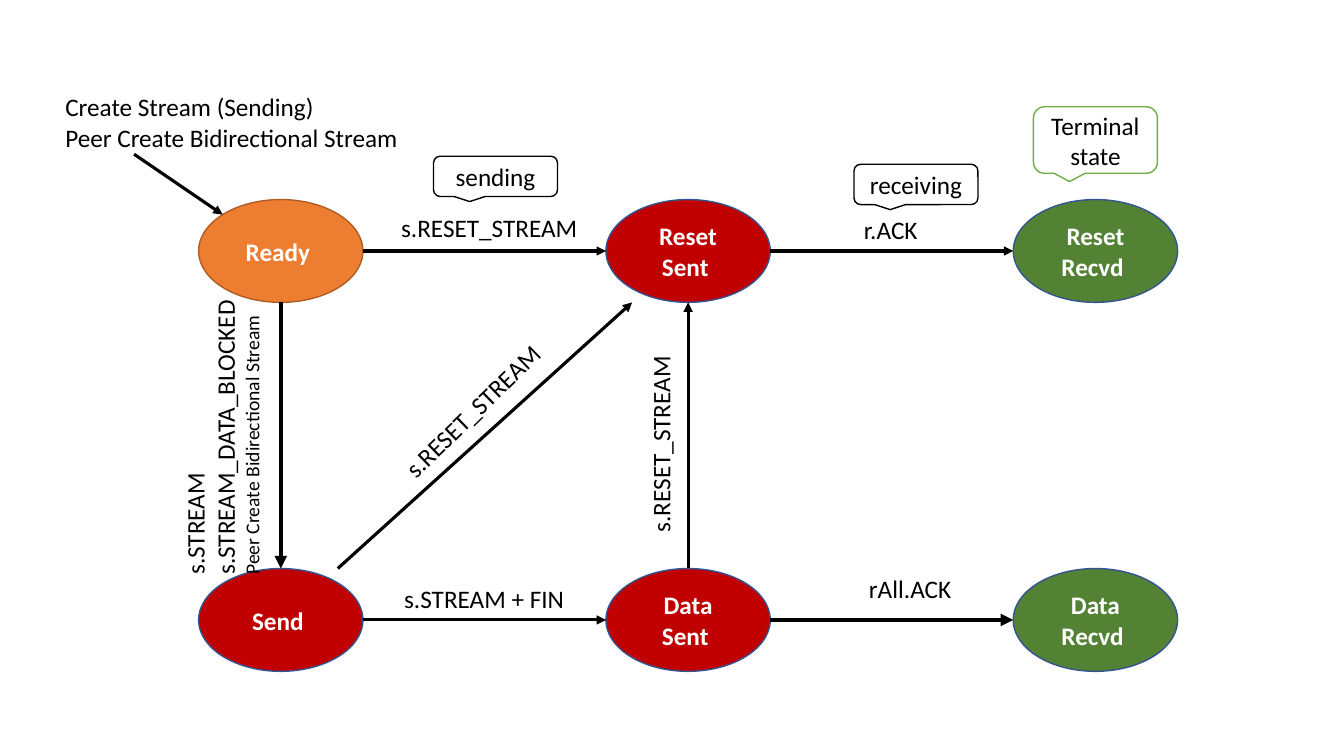
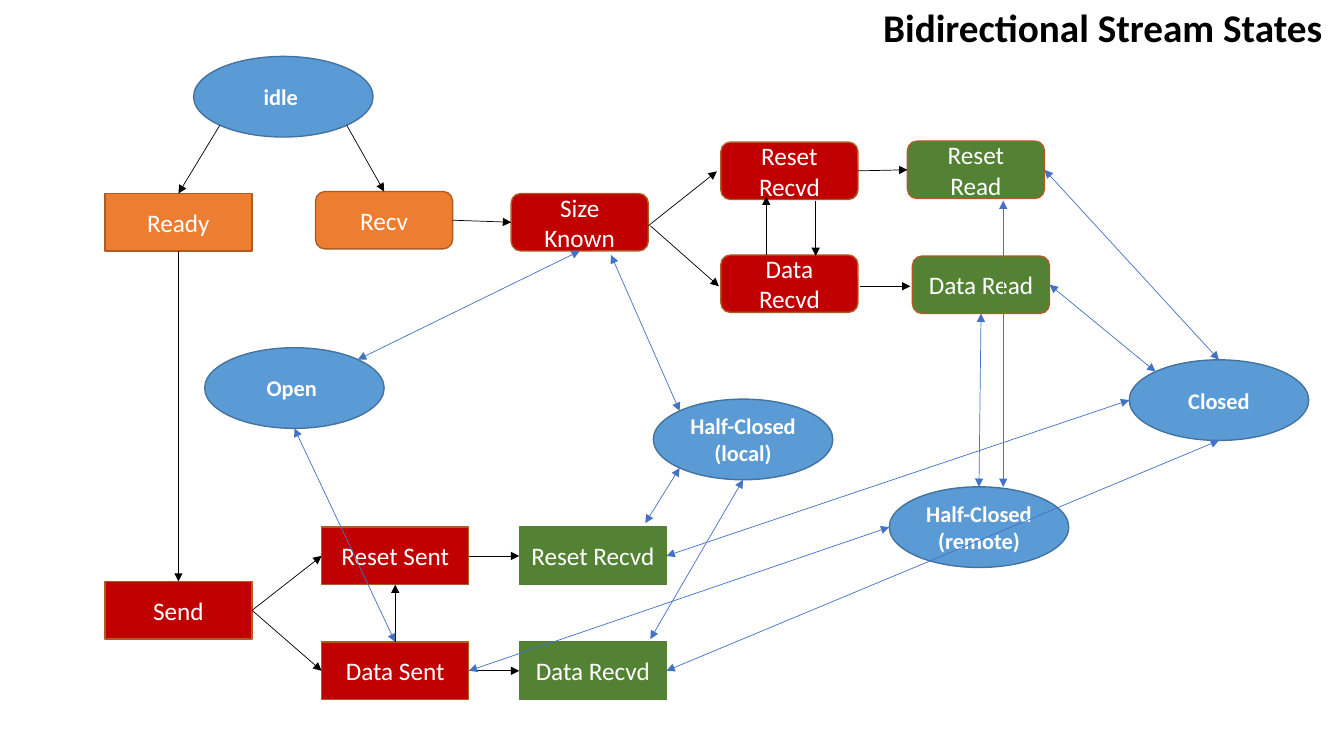
import math

import pptx
import pptx.util
import pptx.dml.color
import pptx.enum.shapes
import pptx.enum.text
from pptx.oxml.ns import qn
from lxml import etree

SHAPE = pptx.enum.shapes.MSO_SHAPE
ALIGN = pptx.enum.text.PP_ALIGN
ANCHOR = pptx.enum.text.MSO_ANCHOR
Inches = pptx.util.Inches


class Theme:
    font = "Calibri"
    black, white = "000000", "FFFFFF"
    orange, red, green, blue = "ED7D31", "C00000", "548235", "5B9BD5"
    orange_edge, green_edge, blue_edge = "AF5C24", "538035", "43739E"
    navy_edge, light_green, link = "325491", "70AD47", "4472C4"
    title, body, state, small = 28, 18, 16, 14
    edge, thin, medium, thick = 1, 0.5, 2.25, 3


T = Theme

# Slide 1: states on a grid of 3 columns and 2 rows
GRID_LEFT, GRID_TOP, COL_STEP, ROW_STEP = 1.97, 1.98, 4.04, 3.66
OVAL = (1.63, 1.02)
SEND_STATES = {  # key: text, column, row, fill, edge
    "ready": ("Ready ", 0, 0, T.orange, T.orange_edge),
    "send": ("Send ", 0, 1, T.red, T.navy_edge),
    "data sent": ("Data Sent ", 1, 1, T.red, T.navy_edge),
    "reset sent": ("Reset Sent ", 1, 0, T.red, T.navy_edge),
    "reset recvd": ("Reset Recvd ", 2, 0, T.green, T.navy_edge),
    "data recvd": ("Data Recvd ", 2, 1, T.green, T.navy_edge),
}
# An arrow end is either (state, side) or a point (x, y)
SEND_ARROWS = [
    (("ready", "R"), ("reset sent", "L"), T.medium),
    ((3.35, 5.64), (6.27, 3), T.medium),
    (("ready", "B"), ("send", "T"), T.thick),
    (("send", "R"), ("data sent", "L"), T.medium),
    (("data sent", "R"), ("data recvd", "L"), T.thick),
    (("reset sent", "R"), ("reset recvd", "L"), T.medium),
    (("data sent", "T"), ("reset sent", "B"), T.medium),
    ((1.33, 1.53), ("ready", "TL"), T.medium),
]
PEER = "Peer Create Bidirectional Stream"
LABELS = [  # text, box, rotation
    ("s.RESET_STREAM", (3.88, 2.06, 1.96, 0.4), 0),
    ("s.RESET_STREAM", (3.71, 3.87, 1.96, 0.4), 315.8),
    ("s.RESET_STREAM", (5.57, 4.2, 1.96, 0.4), 270),
    ("r.ACK", (8.47, 2.08, 0.74, 0.4), 0),
    ("rAll.ACK", (8.52, 5.64, 1.03, 0.4), 0),
    ("s.STREAM + FIN", (3.91, 5.74, 1.8, 0.4), 0),
    ("s.STREAM\ns.STREAM_DATA_BLOCKED\n" + PEER, (0.88, 3.7, 2.95, 1.25), 270),
    ("Create Stream (Sending)\n" + PEER, (0.55, 0.86, 3.54, 0.71), 0),
]
CALLOUTS = [  # text, box, edge
    ("sending", (4.3, 1.55, 1.23, 0.4), T.black),
    ("receiving", (8.47, 1.63, 1.23, 0.4), T.black),
    ("Terminal state", (10.25, 1.06, 1.23, 0.66), T.light_green),
]

# Slide 2: stream states (ovals), sending states (boxes), receiving states (rounded)
TITLE = "Bidirectional Stream States"
TITLE_BOX = (8.66, -0.02, 4.67, 0.57)
KINDS = {  # kind: preset, size, type size, bold
    "stream": (SHAPE.OVAL, (1.78, 0.8), T.state, True),
    "sending": (SHAPE.RECTANGLE, (1.46, 0.57), T.body, False),
    "receiving": (SHAPE.ROUNDED_RECTANGLE, (1.36, 0.57), T.body, False),
}
STATES = {  # key: kind, text, left, top, fill, edge
    "idle": ("stream", "idle ", 1.92, 0.56, T.blue, T.blue_edge),
    "open": ("stream", "Open ", 2.03, 3.45, T.blue, T.blue_edge),
    "remote": ("stream", "Half-Closed\n(remote)", 8.82, 4.83, T.blue, T.blue_edge),
    "local": ("stream", "Half-Closed\n(local)", 6.48, 3.96, T.blue, T.blue_edge),
    "closed": ("stream", "Closed", 11.2, 3.57, T.blue, T.blue_edge),
    "ready": ("sending", "Ready", 1.04, 1.92, T.orange, T.orange_edge),
    "send": ("sending", "Send", 1.04, 5.77, T.red, T.orange_edge),
    "reset sent": ("sending", "Reset Sent", 3.19, 5.23, T.red, T.orange_edge),
    "data sent": ("sending", "Data Sent", 3.19, 6.37, T.red, T.orange_edge),
    "s reset recvd": ("sending", "Reset Recvd", 5.15, 5.23, T.green, T.green_edge),
    "s data recvd": ("sending", "Data Recvd", 5.15, 6.37, T.green, T.green_edge),
    "recv": ("receiving", "Recv", 3.13, 1.9, T.orange, T.orange_edge),
    "size known": ("receiving", "Size Known", 5.07, 1.92, T.red, T.orange_edge),
    "r reset recvd": ("receiving", "Reset Recvd", 7.15, 1.41, T.red, T.orange_edge),
    "r data recvd": ("receiving", "Data Recvd", 7.15, 2.53, T.red, T.orange_edge),
    "reset read": ("receiving", "Reset Read", 9, 1.4, T.green, T.orange_edge),
    "data read": ("receiving", "Data Read", 9.05, 2.54, T.green, T.orange_edge),
}
TRANSITIONS = [
    (("send", "R"), ("reset sent", "L")),
    (("send", "R"), ("data sent", "L")),
    (("data sent", "T"), ("reset sent", "B")),
    (("reset sent", "R"), ("s reset recvd", "L")),
    (("data sent", "R"), ("s data recvd", "L")),
    ((6.43, 2.24), (7.11, 1.7)),
    ((6.45, 2.24), (7.13, 2.84)),
    ((7.6, 2.53), (7.6, 1.95)),
    ((8.09, 1.99), (8.09, 2.54)),
    (("r reset recvd", "R"), ("reset read", "L")),
    ((8.53, 2.84), (9.03, 2.84)),
    (("idle", "BR"), ("recv", "T")),
    (("idle", "BL"), ("ready", "T")),
    (("ready", "B"), ("send", "T")),
    (("recv", "R"), ("size known", "L")),
]
MAPPINGS = [  # two-headed links between stream states and the others
    (("open", "TR"), ("size known", "B")),
    (("data sent", "T"), ("open", "B")),
    (("data sent", "R"), ("remote", "L")),
    (("data read", "B"), ("remote", "T")),
    ((9.95, 1.99), (9.95, 4.83)),
    (("local", "TL"), (6.06, 2.53)),
    ((6.45, 6.34), ("local", "B")),
    ((6.4, 5.19), ("local", "BL")),
    (("closed", "L"), ("s reset recvd", "R")),
    (("closed", "TL"), ("data read", "R")),
    (("closed", "T"), ("reset read", "R")),
    (("closed", "B"), ("s data recvd", "R")),
]
SITES = "TLBR"  # connection sites 0 to 3 of a rectangle


def rgb(value):
    return pptx.dml.color.RGBColor.from_string(value)


def write(shape, text, size, color, bold=False, align=ALIGN.LEFT, anchor=ANCHOR.TOP,
          wrap=True):
    tf = shape.text_frame
    tf.text = text
    tf.word_wrap = wrap
    tf.auto_size = pptx.enum.text.MSO_AUTO_SIZE.NONE
    tf.vertical_anchor = anchor
    for p in tf.paragraphs:
        p.alignment = align
        for r in p.runs:
            r.font.name, r.font.size, r.font.bold = T.font, pptx.util.Pt(size), bold
            r.font.color.rgb = rgb(color)


def add_box(s, preset, box, text, fill, edge, size=T.body, color=T.white, bold=False):
    sp = s.shapes.add_shape(preset, *map(Inches, box))
    sp.shadow.inherit = False
    sp.fill.solid()
    sp.fill.fore_color.rgb = rgb(fill)
    sp.line.color.rgb = rgb(edge)
    sp.line.width = pptx.util.Pt(T.edge)
    write(sp, text, size, color, bold, ALIGN.CENTER, ANCHOR.MIDDLE)
    return sp


def locate(end, nodes):
    """Return the point of an arrow end, in EMU."""
    if end[0] not in nodes:
        return tuple(map(Inches, end))
    sp, side = nodes[end[0]], end[1]
    reach = 0.5 * (math.sqrt(0.5) if len(side) == 2 else 1)  # corners lie on the oval
    dx = ("R" in side) - ("L" in side)
    dy = ("B" in side) - ("T" in side)
    return (int(sp.left + sp.width * (0.5 + dx * reach)),
            int(sp.top + sp.height * (0.5 + dy * reach)))


def add_arrow(s, nodes, start, end, color, width, both=False):
    line = s.shapes.add_connector(pptx.enum.shapes.MSO_CONNECTOR.STRAIGHT,
                                  *locate(start, nodes), *locate(end, nodes))
    for spot, connect in ((start, line.begin_connect), (end, line.end_connect)):
        sp = nodes.get(spot[0])
        if sp is not None and sp.auto_shape_type != SHAPE.OVAL:
            connect(sp, SITES.index(spot[1]))
    line.line.color.rgb = rgb(color)
    line.line.width = pptx.util.Pt(width)
    ln = line.line._get_or_add_ln()
    for tag in (["a:headEnd"] if both else []) + ["a:tailEnd"]:
        etree.SubElement(ln, qn(tag)).set("type", "triangle")
    etree.SubElement(line._element.spPr, qn("a:effectLst"))


def build_sending(prs):
    s = prs.slides.add_slide(prs.slide_layouts[6])
    nodes = {}
    for key, (text, col, row, fill, edge) in SEND_STATES.items():
        box = (GRID_LEFT + col * COL_STEP, GRID_TOP + row * ROW_STEP, *OVAL)
        nodes[key] = add_box(s, SHAPE.OVAL, box, text, fill, edge, bold=True)
    for start, end, width in SEND_ARROWS:
        add_arrow(s, nodes, start, end, T.black, width)
    for text, box, rotation in LABELS:
        tb = s.shapes.add_textbox(*map(Inches, box))
        tb.rotation = rotation
        write(tb, text, T.body, T.black, wrap=False)
        for p in tb.text_frame.paragraphs[2:]:  # side remark under the two frames
            p.runs[0].font.size = pptx.util.Pt(T.small)
    for text, box, edge in CALLOUTS:
        add_box(s, SHAPE.ROUNDED_RECTANGULAR_CALLOUT, box, text, T.white, edge,
                color=T.black)


def build_bidirectional(prs):
    s = prs.slides.add_slide(prs.slide_layouts[5])
    title = s.shapes.title
    title.left, title.top, title.width, title.height = map(Inches, TITLE_BOX)
    write(title, TITLE, T.title, T.black, bold=True)
    nodes = {}
    for key, (kind, text, left, top, fill, edge) in STATES.items():
        preset, extent, size, bold = KINDS[kind]
        nodes[key] = add_box(s, preset, (left, top, *extent), text, fill, edge,
                             size, bold=bold)
    for start, end in TRANSITIONS:
        add_arrow(s, nodes, start, end, T.black, T.thin)
    for start, end in MAPPINGS:
        add_arrow(s, nodes, start, end, T.link, T.thin, both=True)


def main():
    prs = pptx.Presentation()
    prs.slide_width, prs.slide_height = Inches(13.33), Inches(7.5)
    build_sending(prs)
    build_bidirectional(prs)
    prs.save("out.pptx")


if __name__ == "__main__":
    main()
